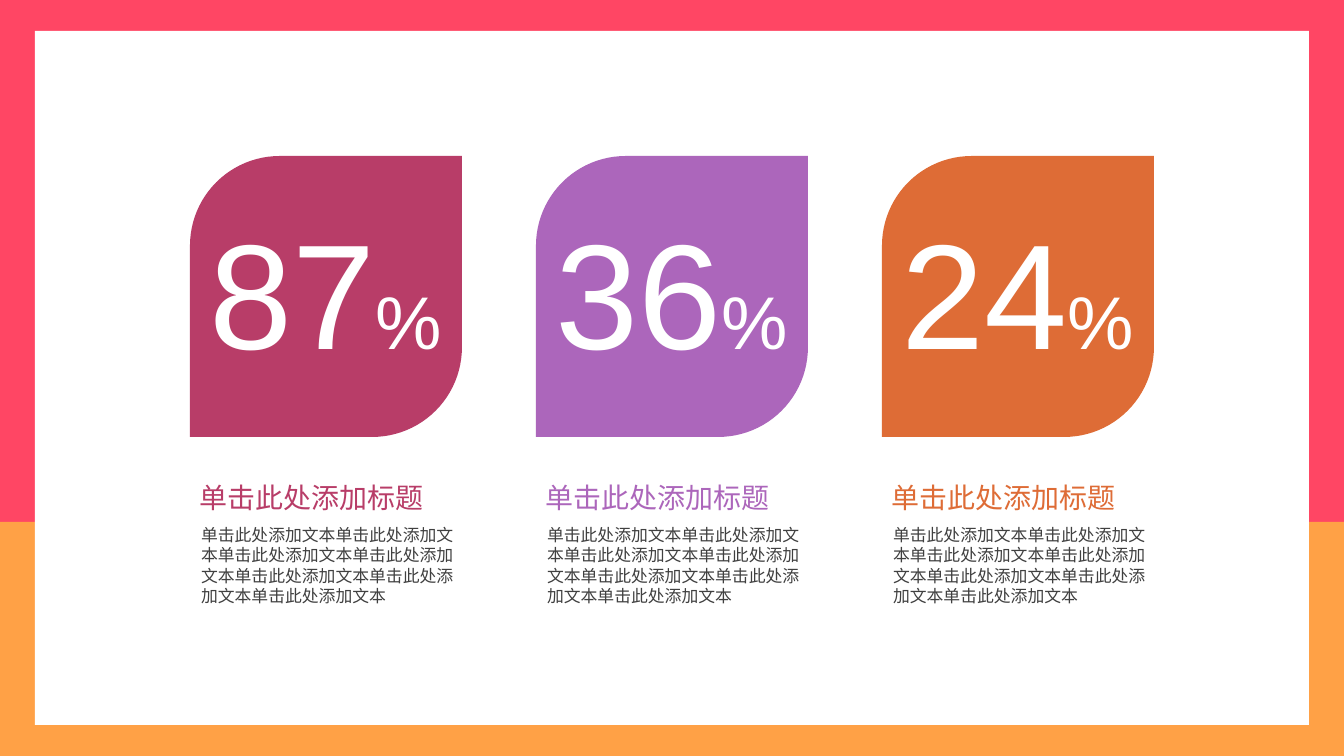
from pptx import Presentation
from pptx.dml.color import RGBColor
from pptx.enum.shapes import MSO_SHAPE
from pptx.enum.text import MSO_AUTO_SIZE, PP_ALIGN
from pptx.util import Emu, Pt

RECT = MSO_SHAPE.RECTANGLE
LEAF = MSO_SHAPE.ROUND_2_DIAG_RECTANGLE
LEFT, CENTER = PP_ALIGN.LEFT, PP_ALIGN.CENTER
FIT_SHAPE = MSO_AUTO_SIZE.SHAPE_TO_FIT_TEXT

PAGE_W, PAGE_H = 1344, 756
SCALE = 9144000 / PAGE_W
FONT = "Arial"
COLORS = {
    "pink": "FF4664", "amber": "FFA146", "white": "FFFFFF", "text": "404040",
    "crimson": "B83D68", "purple": "AC66BB", "orange": "DE6C36",
}
TITLE = "单击此处添加标题"
BODY = "单击此处添加文本" * 7
CARDS = [("87", "crimson"), ("36", "purple"), ("24", "orange")]
CARD_LEFT, CARD_TOP, CARD_STEP = 190, 156, 346
LEAF_W, LEAF_H, LEAF_RADIUS = 272, 281, 89


def px(length):
    return Emu(round(length * SCALE))


def rgb(name):
    return RGBColor.from_string(COLORS[name])


def add_block(page, kind, left, top, width, height, color):
    shape = page.shapes.add_shape(kind, px(left), px(top), px(width), px(height))
    shape.shadow.inherit = False
    shape.fill.solid()
    shape.fill.fore_color.rgb = rgb(color)
    shape.line.fill.background()
    return shape


def add_text(page, left, top, width, height, spans, color, align=LEFT):
    """Add one paragraph made of (text, size) spans."""
    box = page.shapes.add_textbox(px(left), px(top), px(width), px(height))
    frame = box.text_frame
    frame.word_wrap = True
    frame.auto_size = FIT_SHAPE
    frame.margin_left = frame.margin_right = px(10)
    frame.margin_top = frame.margin_bottom = px(5)
    para = frame.paragraphs[0]
    para.alignment = align
    for text, size in spans:
        span = para.add_run()
        span.text = text
        span.font.name = FONT
        span.font.size = Pt(size)
        span.font.color.rgb = rgb(color)


def add_frame(page, width, height):
    """Two-colour border around a white panel."""
    split, side, edge = 522, 35, 31
    add_block(page, RECT, 0, 0, width, split, "pink")
    add_block(page, RECT, 0, split, width, height - split, "amber")
    add_block(page, RECT, side, edge, width - 2 * side, height - 2 * edge, "white")


def add_card(page, left, top, number, color):
    # Leaf with the percentage
    leaf = add_block(page, LEAF, left, top, LEAF_W, LEAF_H, color)
    leaf.adjustments[0] = round(LEAF_RADIUS / LEAF_W, 2)
    leaf.adjustments[1] = 0
    add_text(page, left + 7, top + 39, 258, 191,
             [(number, 80), ("%", 40)], "white", CENTER)
    # Caption
    add_text(page, left + 1, top + 364, 281, 91, [(BODY, 9)], "text")
    add_text(page, left, top + 320, 356, 44, [(TITLE, 15)], color)


def main():
    deck = Presentation()
    deck.slide_width, deck.slide_height = px(PAGE_W), px(PAGE_H)
    page = deck.slides.add_slide(deck.slide_layouts[6])
    add_frame(page, PAGE_W, PAGE_H)
    for index, (number, color) in enumerate(CARDS):
        add_card(page, CARD_LEFT + index * CARD_STEP, CARD_TOP, number, color)
    deck.save("out.pptx")


if __name__ == "__main__":
    main()
